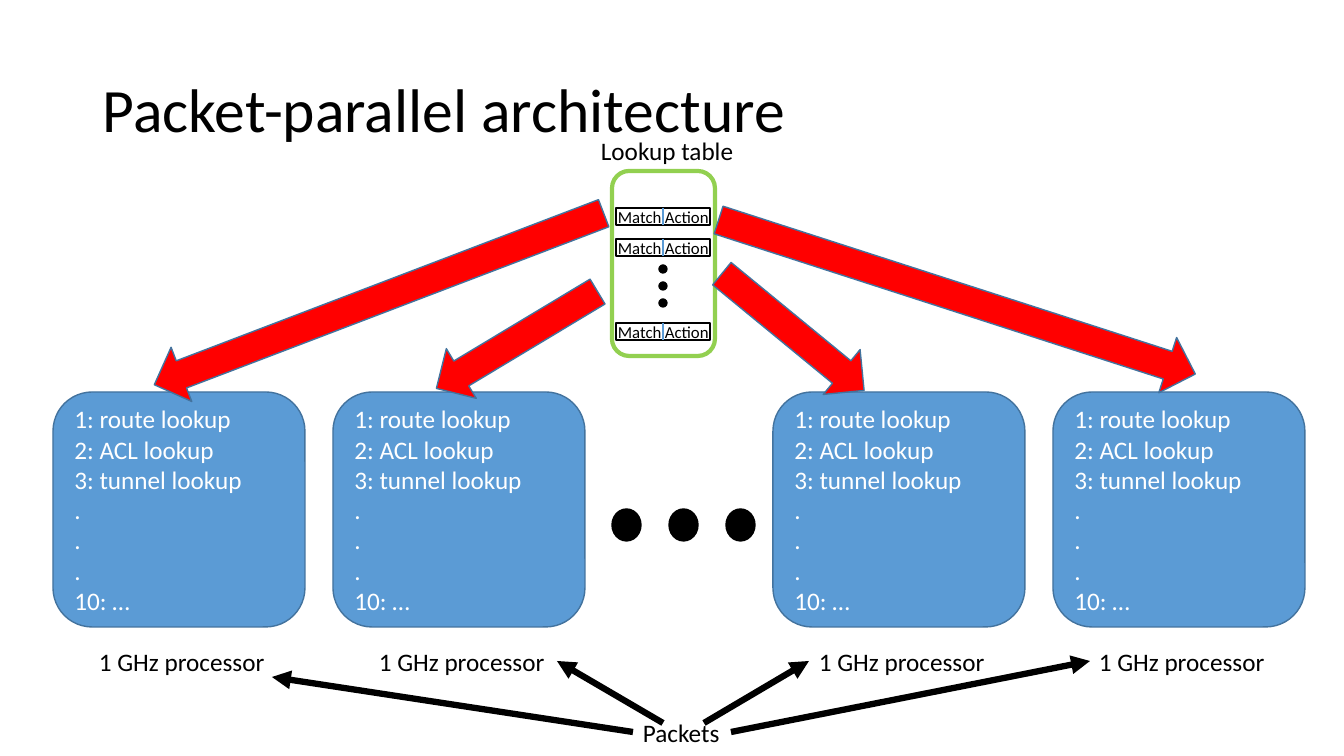
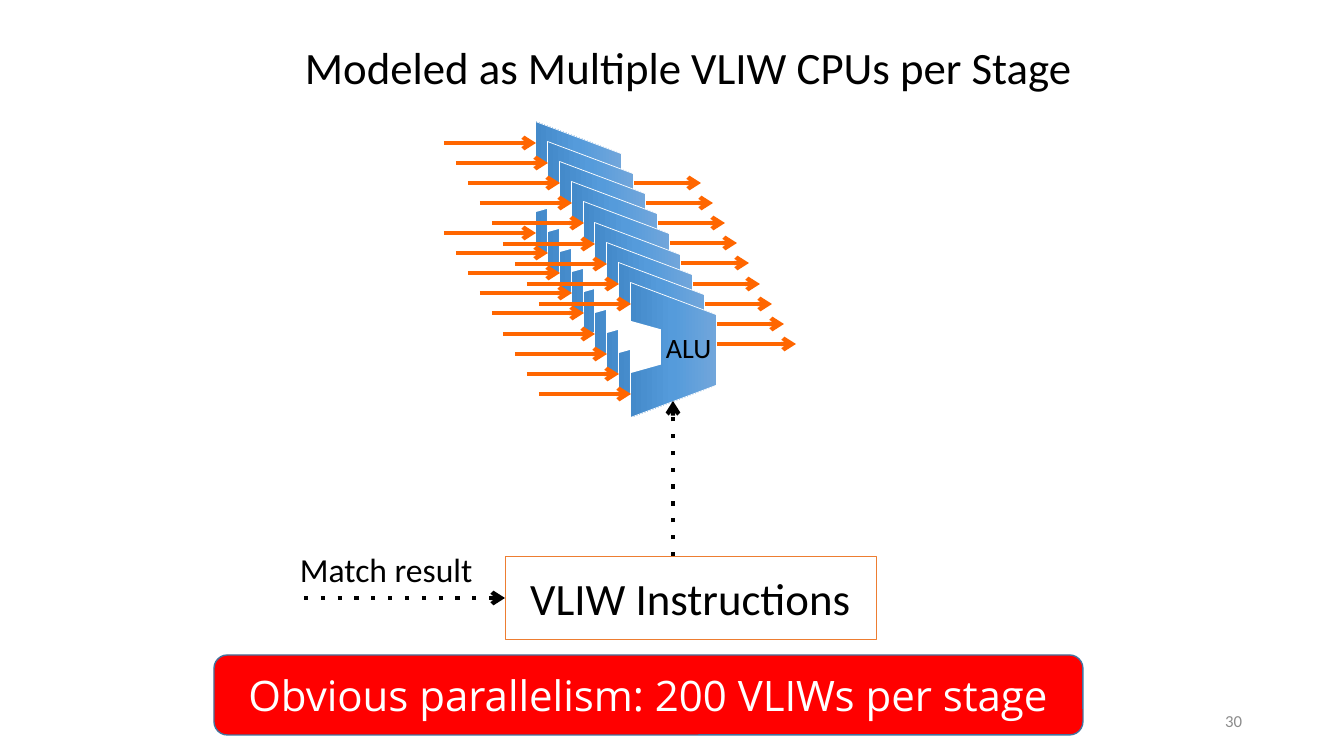
"""Builds two slides on packet-parallel processors and VLIW stages."""
from copy import deepcopy

from pptx import Presentation
from pptx.dml.color import RGBColor
from pptx.enum.shapes import MSO_CONNECTOR, MSO_SHAPE as Shape
from pptx.enum.text import MSO_ANCHOR as Anchor, PP_ALIGN as Align
from pptx.oxml.ns import qn
from pptx.util import Pt

SCALE = 914400 / 100.8
BLACK, WHITE, RED, BLUE = "000000", "FFFFFF", "FF0000", "5B9BD5"
OUTLINE, GREEN, ORANGE, RUST, GRAY = "43739E", "92D050", "FF6600", "ED7D31", "8C8C8C"
GRADIENT = ["71A6DB", "559BDB", "448ACA"]


def emu(*pixels):
    return [round(pixel * SCALE) for pixel in pixels]


def color(value):
    return RGBColor.from_string(value)


def append_tag(parent, tag, **attributes):
    parent.append(parent.makeelement(qn(tag), attributes))


class Deck:
    def __init__(self):
        self.presentation = Presentation()
        size = emu(1344, 756)
        self.presentation.slide_width, self.presentation.slide_height = size
        self.slide = None

    def new_slide(self):
        layout = self.presentation.slide_layouts[6]
        self.slide = self.presentation.slides.add_slide(layout)

    def set_text(self, shape, text, size, ink, align=Align.LEFT, font="Calibri", spacing=None):
        shape.text_frame.text = text
        for paragraph in shape.text_frame.paragraphs:
            paragraph.alignment = align
            paragraph.line_spacing = spacing
            for run in paragraph.runs:
                run.font.name = font
                run.font.size = Pt(size)
                run.font.color.rgb = color(ink)

    def text(self, box, text, size=18, ink=BLACK, wrap=False, anchor=Anchor.TOP, **style):
        shape = self.slide.shapes.add_textbox(*emu(*box))
        shape.text_frame.word_wrap = wrap
        shape.text_frame.vertical_anchor = anchor
        self.set_text(shape, text, size, ink, **style)

    def shape(self, kind, box, fill=None, line=None, width=1, rotation=0):
        shape = self.slide.shapes.add_shape(kind, *emu(*box))
        shape.shadow.inherit = False
        shape.rotation = rotation
        if fill:
            shape.fill.solid()
            shape.fill.fore_color.rgb = color(fill)
        else:
            shape.fill.background()
        if line:
            shape.line.color.rgb = color(line)
            shape.line.width = Pt(width)
        else:
            shape.line.fill.background()
        return shape

    def label_shape(self, kind, box, text, size, ink, fill=None, line=None, width=1, **style):
        shape = self.shape(kind, box, fill, line, width)
        shape.text_frame.word_wrap = True
        shape.text_frame.vertical_anchor = Anchor.MIDDLE
        self.set_text(shape, text, size, ink, **style)

    def gradient(self, shape, stops):
        shape.fill.gradient()
        shape.fill.gradient_angle = 270
        stop_list = shape._element.spPr.find(qn("a:gradFill")).find(qn("a:gsLst"))
        middle = deepcopy(stop_list[0])
        middle.set("pos", "50000")
        stop_list.insert(1, middle)
        for stop, value in zip(shape.fill.gradient_stops, stops):
            stop.color.rgb = color(value)

    def line(self, start, end, ink=BLACK, width=3, head=None, dash=None):
        connector = self.slide.shapes.add_connector(
            MSO_CONNECTOR.STRAIGHT, *emu(*start, *end))
        connector.line.color.rgb = color(ink)
        connector.line.width = Pt(width)
        properties = connector._element.spPr
        outline = properties.find(qn("a:ln"))
        if dash:
            append_tag(outline, "a:prstDash", val=dash)
        if head:
            append_tag(outline, "a:tailEnd", type=head)
        append_tag(properties, "a:effectLst")

    def block_arrow(self, center, length, rotation):
        x, y = center
        box = (x - 29, y - length / 2, 58, length)
        self.shape(Shape.DOWN_ARROW, box, RED, OUTLINE, rotation=rotation)

    def processor(self, x):
        steps = ["1: route lookup", "2: ACL lookup", "3: tunnel lookup", ".", ".", ".", "10: …"]
        self.label_shape(Shape.ROUNDED_RECTANGLE, (x, 392, 252, 235), "\n".join(steps),
                         18, WHITE, BLUE, OUTLINE)
        self.text((x + 36, 641, 187, 40), "1 GHz processor")

    def table_entry(self, y):
        self.text((608, y - 6, 65, 30), "Match", 12)
        self.text((655, y - 6, 65, 30), "Action", 12)
        self.shape(Shape.RECTANGLE, (616, y, 94, 17), line=BLACK)
        self.line((663, y), (663, y + 17), BLUE, 2)

    def alu(self, x, y):
        body = self.shape(Shape.TRAPEZOID, (x, y, 135, 86), BLUE, WHITE, 0.5, 90)
        body.adjustments[0] = 0.375
        self.gradient(body, GRADIENT)
        notch = self.shape(Shape.TRAPEZOID, (x + 14, y + 25, 52, 30), WHITE, rotation=90)
        notch.adjustments[0] = 0.28
        for left, right, drop in [(-67, 25, -3), (-67, 25, 87), (111, 190, 37)]:
            self.line((x + left, y + drop), (x + right, y + drop), ORANGE, head="arrow")


deck = Deck()

deck.new_slide()
deck.text((93, 40, 1159, 146), "Packet-parallel architecture", 44, wrap=True,
          anchor=Anchor.MIDDLE, spacing=0.9)
deck.text((591, 130, 154, 40), "Lookup table")
deck.shape(Shape.ROUNDED_RECTANGLE, (612, 171, 103, 185), line=GREEN, width=3)
for entry_y in (208, 239, 323):
    deck.table_entry(entry_y)
for index in range(3):
    deck.shape(Shape.OVAL, (659, 265 + 17 * index, 8, 8), BLACK, BLACK)
    deck.shape(Shape.OVAL, (612 + 57 * index, 509, 29, 32), BLACK, BLACK)
for processor_x in (53, 333, 773, 1053):
    deck.processor(processor_x)
for center, length, rotation in [((379, 299), 481, 69.1), ((517, 340), 188, 59),
                                 ((793, 332), 184, 309.4), ((957, 297), 501, 287.9)]:
    deck.block_arrow(center, length, rotation)
deck.text((633, 712, 98, 40), "Packets")
for start, end in [((633, 732), (272, 677)), ((663, 723), (557, 661)),
                   ((704, 723), (809, 661)), ((731, 732), (1090, 661))]:
    deck.line(start, end, width=4.5, head="triangle")

deck.new_slide()
deck.text((295, 35, 805, 64), "Modeled as Multiple VLIW CPUs per Stage", 32)
for index in range(9):
    deck.alu(511 + round(95 * index / 8), 146 + round(161 * index / 8))
deck.text((656, 326, 67, 44), "ALU", 20)
deck.label_shape(Shape.RECTANGLE, (505, 556, 371, 83), "VLIW Instructions", 32, BLACK,
                 line=RUST, width=0.5, align=Align.CENTER)
for start, end in [((673, 556), (673, 401)), ((304, 598), (505, 598))]:
    deck.line(start, end, head="arrow", dash="dot")
deck.text((290, 544, 196, 50), "Match result", 24)
deck.text((950, 701, 302, 40), "30", 12, GRAY, wrap=True, anchor=Anchor.MIDDLE,
          align=Align.RIGHT)
deck.label_shape(Shape.ROUNDED_RECTANGLE, (214, 655, 869, 80),
                 "Obvious parallelism: 200 VLIWs per stage", 30, WHITE, RED, OUTLINE,
                 align=Align.CENTER, font="Open Sans")

deck.presentation.save("out.pptx")
